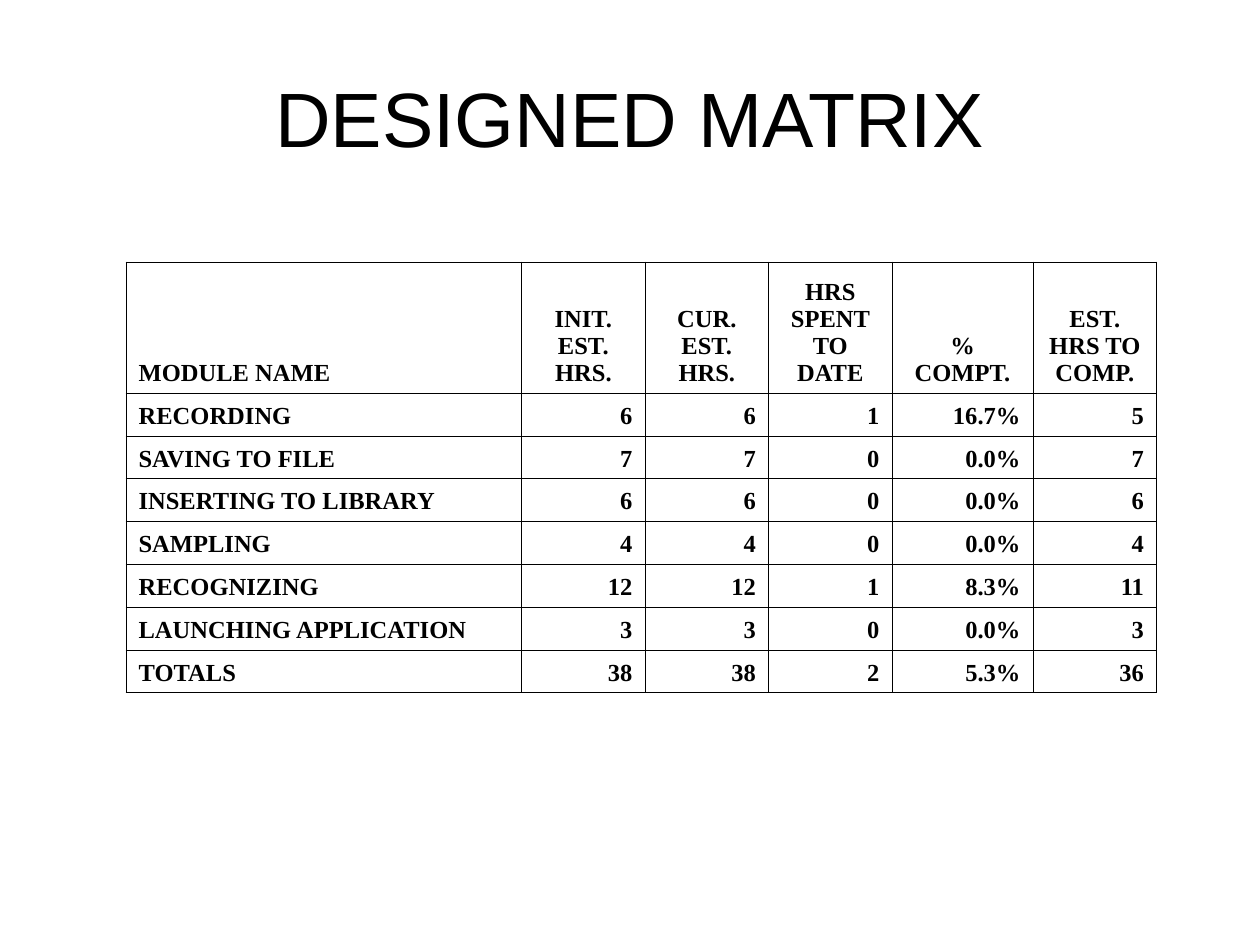
from dataclasses import dataclass

from lxml import etree
from pptx import Presentation
from pptx.dml.color import RGBColor
from pptx.enum.text import MSO_ANCHOR, PP_ALIGN
from pptx.oxml.ns import qn
from pptx.table import _Cell
from pptx.text.text import TextFrame
from pptx.util import Inches, Pt

LEFT, CENTER, RIGHT = PP_ALIGN.LEFT, PP_ALIGN.CENTER, PP_ALIGN.RIGHT
MIDDLE, BOTTOM = MSO_ANCHOR.MIDDLE, MSO_ANCHOR.BOTTOM

COLORS = {"ink": "000000", "paper": "FFFFFF"}
TITLE_ONLY = 5
COL_WIDTHS = [3.14, 0.98, 0.98, 0.98, 1.12, 0.98]
HEADER_HEIGHT, ROW_HEIGHT = 1.04, 0.34
BORDER_WIDTH = Pt(0.45)
HEADERS = ["MODULE NAME", "INIT. EST. HRS.", "CUR. EST. HRS.",
           "HRS SPENT TO DATE", "% COMPT.", "EST. HRS TO COMP."]


@dataclass
class Module:
    name: str
    initial: int
    current: int
    spent: int

    def cells(self) -> list[str]:
        return [self.name, str(self.initial), str(self.current), str(self.spent),
                f"{self.spent / self.current:.1%}", str(self.current - self.spent)]


MODULES = [
    Module("RECORDING", 6, 6, 1),
    Module("SAVING TO FILE", 7, 7, 0),
    Module("INSERTING TO LIBRARY", 6, 6, 0),
    Module("SAMPLING", 4, 4, 0),
    Module("RECOGNIZING", 12, 12, 1),
    Module("LAUNCHING APPLICATION", 3, 3, 0),
]
TOTALS = Module("TOTALS", sum(m.initial for m in MODULES),
                sum(m.current for m in MODULES), sum(m.spent for m in MODULES))


def write(tf: TextFrame, text: str, font: str, size: float,
          align: PP_ALIGN, bold: bool = False) -> None:
    p = tf.paragraphs[0]
    p.alignment = align
    r = p.add_run()
    r.text = text
    r.font.name = font
    r.font.size = Pt(size)
    r.font.bold = bold
    r.font.color.rgb = RGBColor.from_string(COLORS["ink"])


def add_borders(cell: _Cell) -> None:
    props = cell._tc.get_or_add_tcPr()
    for i, side in enumerate(("lnL", "lnR", "lnT", "lnB")):
        line = etree.Element(qn(f"a:{side}"), w=str(BORDER_WIDTH))
        fill = etree.SubElement(line, qn("a:solidFill"))
        etree.SubElement(fill, qn("a:srgbClr"), val=COLORS["ink"])
        props.insert(i, line)


def fill_cell(cell: _Cell, text: str, align: PP_ALIGN) -> None:
    cell.vertical_anchor = BOTTOM
    cell.margin_left = cell.margin_right = Inches(0.1)
    cell.margin_top = cell.margin_bottom = Inches(0.05)
    cell.fill.solid()
    cell.fill.fore_color.rgb = RGBColor.from_string(COLORS["paper"])
    add_borders(cell)
    write(cell.text_frame, text, "Times New Roman", 14, align, bold=True)


def main() -> None:
    prs = Presentation()
    prs.slide_width, prs.slide_height = Inches(10), Inches(7.5)
    s = prs.slides.add_slide(prs.slide_layouts[TITLE_ONLY])

    title = s.shapes.title
    title.left, title.top = Inches(0.5), Inches(0.3)
    title.width, title.height = Inches(9), Inches(1.25)
    title.text_frame.vertical_anchor = MIDDLE
    write(title.text_frame, "DESIGNED MATRIX", "Arial", 44, CENTER)

    rows = [HEADERS] + [m.cells() for m in MODULES + [TOTALS]]
    heights = [HEADER_HEIGHT] + [ROW_HEIGHT] * (len(rows) - 1)
    table = s.shapes.add_table(len(rows), len(HEADERS), Inches(1), Inches(2.08),
                               Inches(sum(COL_WIDTHS)), Inches(sum(heights))).table
    for col, width in zip(table.columns, COL_WIDTHS):
        col.width = Inches(width)
    for i, (values, height) in enumerate(zip(rows, heights)):
        table.rows[i].height = Inches(height)
        for j, value in enumerate(values):
            align = LEFT if j == 0 else CENTER if i == 0 else RIGHT
            fill_cell(table.cell(i, j), value, align)

    prs.save("out.pptx")


if __name__ == "__main__":
    main()
